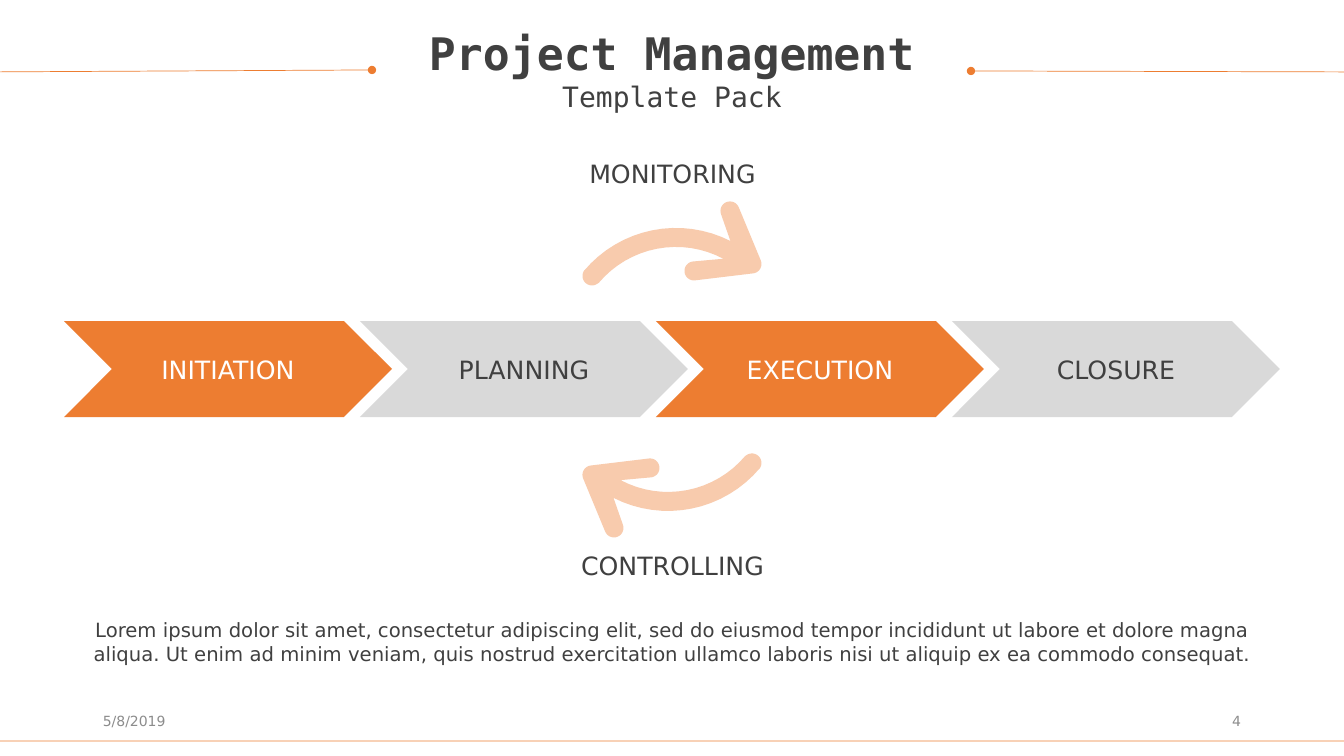
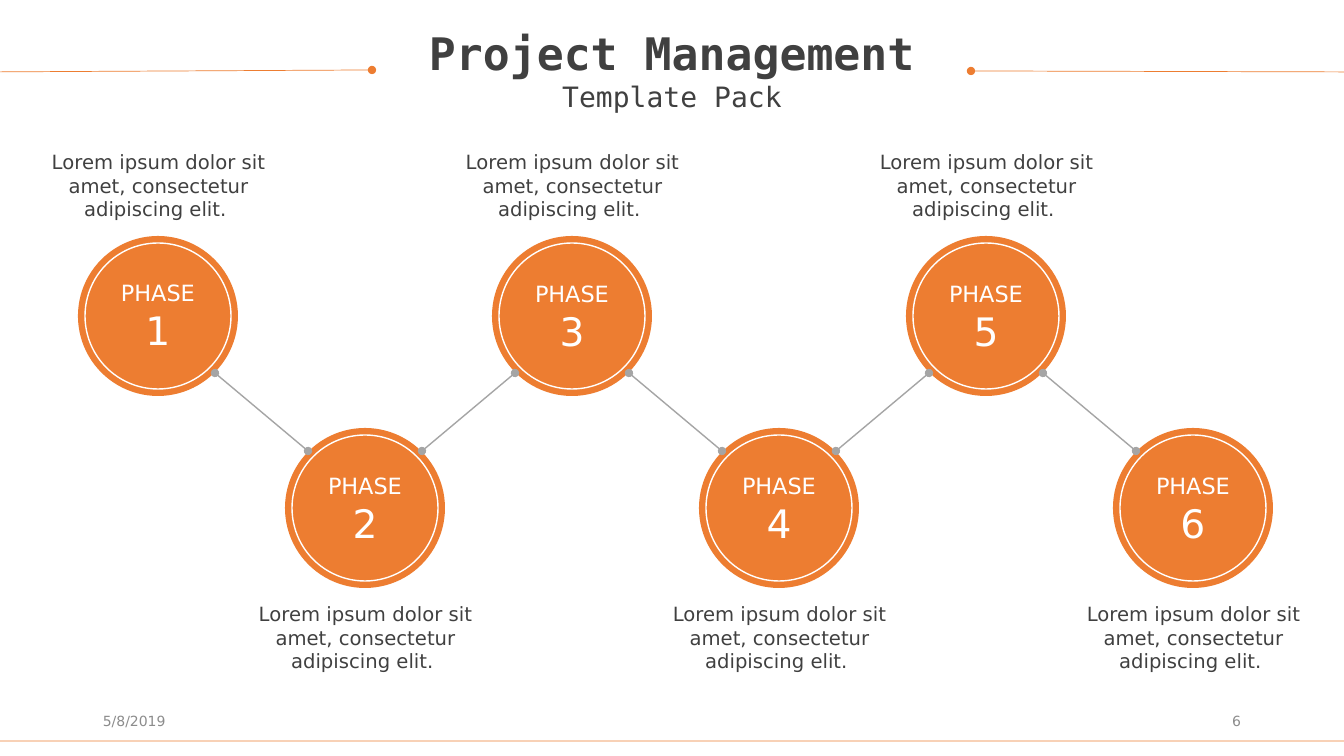
import dataclasses
import math

import pptx
import pptx.dml.color
import pptx.enum.shapes
import pptx.enum.text
import pptx.oxml.ns
import pptx.oxml.xmlchemy
import pptx.util
from pptx.oxml.xmlchemy import OxmlElement

EMU_PER_PX = 914400 / 100.8
SLIDE_WIDTH, SLIDE_HEIGHT = 1344, 756

ORANGE = "ED7D31"
PEACH = "F8CBAD"
LIGHT_GRAY = "D9D9D9"
MID_GRAY = "A5A5A5"
FOOTER_GRAY = "8C8C8C"
DARK = "404040"
WHITE = "FFFFFF"
SANS = "DejaVu Sans"
MONO = "DejaVu Sans Mono"

ALIGN = pptx.enum.text.PP_ALIGN
ANCHOR = pptx.enum.text.MSO_ANCHOR
SHAPE = pptx.enum.shapes.MSO_SHAPE

FRAME = [(971, 71), (1360, 72), (1360, 741), (-16, 741), (-16, 72), (372, 70)]
STROKE = 19
SUMMARY = (
    "Lorem ipsum dolor sit amet, consectetur adipiscing elit, sed do eiusmod "
    "tempor incididunt ut labore et dolore magna aliqua. Ut enim ad minim veniam, "
    "quis nostrud exercitation ullamco laboris nisi ut aliquip ex ea commodo consequat. "
)
CAPTION = "Lorem ipsum dolor sit amet, consectetur adipiscing elit. "


@dataclasses.dataclass(frozen=True)
class Box:
    left: int
    top: int
    width: int
    height: int

    def emu(self) -> list[int]:
        return [px(value) for value in dataclasses.astuple(self)]


@dataclasses.dataclass(frozen=True)
class Stage:
    name: str
    fill: str
    color: str


@dataclasses.dataclass(frozen=True)
class Phase:
    number: int
    space_size: int = 18

    @property
    def upper(self) -> bool:
        return self.number % 2 == 1

    @property
    def center(self) -> tuple[int, int]:
        return 158 + 207 * (self.number - 1), 316 if self.upper else 508


@dataclasses.dataclass(frozen=True)
class Arc:
    x: int
    y: int
    radius: float
    start: int
    end: int

    def points(self, steps: int = 16) -> list[tuple[float, float]]:
        angles = [
            math.radians(self.start + (self.end - self.start) * step / steps)
            for step in range(steps + 1)
        ]
        return [
            (self.x + self.radius * math.cos(angle), self.y + self.radius * math.sin(angle))
            for angle in angles
        ]


STAGES = [
    Stage("INITIATION", ORANGE, WHITE),
    Stage("PLANNING", LIGHT_GRAY, DARK),
    Stage("EXECUTION", ORANGE, WHITE),
    Stage("CLOSURE", LIGHT_GRAY, DARK),
]
PHASES = [Phase(1, 16)] + [Phase(number) for number in range(2, 7)]
ARROW_ARCS = [
    Arc(592, 276, STROKE / 2, 40, 220),
    Arc(676, 348, 120, 220, 297),
    Arc(730, 211, STROKE / 2, 158, 338),
    Arc(752, 264, STROKE / 2, 338, 444),
    Arc(694, 271, STROKE / 2, 84, 264),
    Arc(676, 348, 120 - STROKE, 298, 220),
]


def px(value: float) -> int:
    return round(value * EMU_PER_PX)


def rgb(color: str) -> pptx.dml.color.RGBColor:
    return pptx.dml.color.RGBColor.from_string(color)


def style_font(font, size: int, color: str, name: str = SANS, bold: bool = False) -> None:
    font.size = pptx.util.Pt(size)
    font.name = name
    font.bold = bold
    font.color.rgb = rgb(color)


def style_frame(text_frame, anchor, margins: bool) -> None:
    text_frame.word_wrap = True
    text_frame.auto_size = pptx.enum.text.MSO_AUTO_SIZE.NONE
    text_frame.vertical_anchor = anchor
    if not margins:
        text_frame.margin_left = text_frame.margin_right = 0
        text_frame.margin_top = text_frame.margin_bottom = 0


def write(text_frame, text: str, size: int, color: str, align=ALIGN.CENTER) -> None:
    text_frame.text = text
    paragraph = text_frame.paragraphs[0]
    paragraph.alignment = align
    style_font(paragraph.runs[0].font, size, color)


def add_text(slide, box: Box, text: str, size: int, color: str = DARK,
             align=ALIGN.CENTER, anchor=ANCHOR.TOP, margins: bool = False) -> None:
    text_frame = slide.shapes.add_textbox(*box.emu()).text_frame
    style_frame(text_frame, anchor, margins)
    write(text_frame, text, size, color, align)


def paint(shape, fill: str = "", line: str = "", width: float = 1) -> None:
    shape.shadow.inherit = False
    if fill:
        shape.fill.solid()
        shape.fill.fore_color.rgb = rgb(fill)
    else:
        shape.fill.background()
    if line:
        shape.line.color.rgb = rgb(line)
        shape.line.width = pptx.util.Pt(width)
    else:
        shape.line.fill.background()


def add_oval_ends(shape) -> None:
    line = shape._element.spPr.find(pptx.oxml.ns.qn("a:ln"))
    for tag in ("a:headEnd", "a:tailEnd"):
        end = OxmlElement(tag)
        end.set("type", "oval")
        line.append(end)


def add_outline(slide, points: list[tuple[float, float]], close: bool):
    corners = [(px(x), px(y)) for x, y in points]
    builder = slide.shapes.build_freeform(*corners[0], scale=1.0)
    builder.add_line_segments(corners[1:], close=close)
    return builder.convert_to_shape()


def add_base_slide(presentation, number: str):
    slide = presentation.slides.add_slide(presentation.slide_layouts[5])
    title = slide.shapes.title
    title.left, title.top, title.width, title.height = Box(21, 26, 1302, 89).emu()
    style_frame(title.text_frame, ANCHOR.TOP, False)
    title.text_frame.text = "Project Management\nTemplate Pack"
    for paragraph, size, bold in zip(title.text_frame.paragraphs, (32, 20), (True, False)):
        paragraph.alignment = ALIGN.CENTER
        style_font(paragraph.runs[0].font, size, DARK, MONO, bold)

    frame = add_outline(slide, FRAME, close=False)
    paint(frame, line=ORANGE, width=0.5)
    add_oval_ends(frame)

    for left, text, align in ((93, "5/8/2019", ALIGN.LEFT), (949, number, ALIGN.RIGHT)):
        add_text(slide, Box(left, 701, 302, 40), text, 10, FOOTER_GRAY,
                 align, ANCHOR.MIDDLE, margins=True)
    return slide


def add_stage(slide, index: int, stage: Stage) -> None:
    box = Box(64 + 296 * index, 321, 328, 96)
    chevron = slide.shapes.add_shape(SHAPE.CHEVRON, *box.emu())
    paint(chevron, stage.fill)
    style_frame(chevron.text_frame, ANCHOR.MIDDLE, True)
    write(chevron.text_frame, stage.name, 18, stage.color)


def build_process_slide(presentation) -> None:
    slide = add_base_slide(presentation, "4")
    for index, stage in enumerate(STAGES):
        add_stage(slide, index, stage)
    arrow = [point for arc in ARROW_ARCS for point in arc.points()]
    turned_arrow = [(1344 - x, 739 - y) for x, y in arrow]
    for points in (arrow, turned_arrow):
        paint(add_outline(slide, points, close=True), PEACH)
    for top, label in ((158, "MONITORING"), (550, "CONTROLLING")):
        add_text(slide, Box(471, top, 403, 30), label, 18, anchor=ANCHOR.MIDDLE)
    add_text(slide, Box(93, 618, 1159, 47), SUMMARY, 14)


def add_circle(slide, center: tuple[int, int], diameter: int):
    x, y = center
    box = Box(x - diameter // 2, y - diameter // 2, diameter, diameter)
    return slide.shapes.add_shape(SHAPE.OVAL, *box.emu())


def add_phase(slide, phase: Phase) -> None:
    disc = add_circle(slide, phase.center, 160)
    paint(disc, ORANGE)
    style_frame(disc.text_frame, ANCHOR.MIDDLE, True)
    paragraph = disc.text_frame.paragraphs[0]
    paragraph.alignment = ALIGN.CENTER
    for text, size in (("PHASE", 16), (" ", phase.space_size), (str(phase.number), 28)):
        run = paragraph.add_run()
        run.text = text
        style_font(run.font, size, WHITE)
    paint(add_circle(slide, phase.center, 146), line=WHITE)
    caption_top = 150 if phase.upper else 602
    add_text(slide, Box(phase.center[0] - 111, caption_top, 223, 72), CAPTION, 14)


def add_link(slide, first: Phase, second: Phase) -> None:
    rim = 57
    drop = rim if first.upper else -rim
    start_x, start_y = first.center
    end_x, end_y = second.center
    ends = (start_x + rim, start_y + drop, end_x - rim, end_y - drop)
    link = slide.shapes.add_connector(
        pptx.enum.shapes.MSO_CONNECTOR.STRAIGHT, *[px(value) for value in ends])
    link.line.color.rgb = rgb(MID_GRAY)
    link.line.width = pptx.util.Pt(1)
    add_oval_ends(link)
    link._element.spPr.append(OxmlElement("a:effectLst"))


def build_phases_slide(presentation) -> None:
    slide = add_base_slide(presentation, "6")
    for phase in PHASES:
        add_phase(slide, phase)
    for first, second in zip(PHASES, PHASES[1:]):
        add_link(slide, first, second)


def main() -> None:
    presentation = pptx.Presentation()
    presentation.slide_width = px(SLIDE_WIDTH)
    presentation.slide_height = px(SLIDE_HEIGHT)
    build_process_slide(presentation)
    build_phases_slide(presentation)
    presentation.save("out.pptx")


if __name__ == "__main__":
    main()
